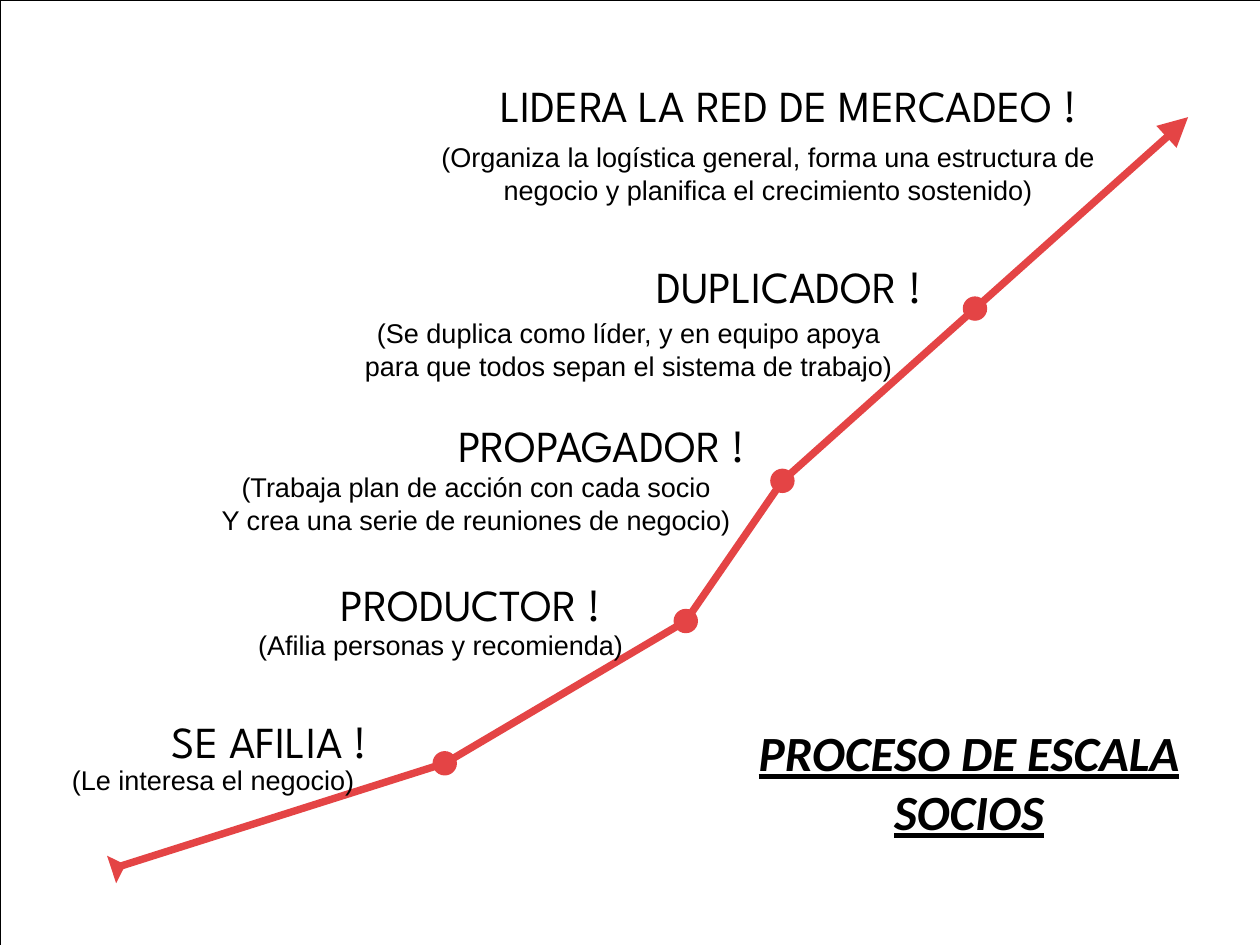
from itertools import pairwise

from lxml import etree
from pptx import Presentation
from pptx.dml.color import RGBColor
from pptx.enum.shapes import MSO_CONNECTOR, MSO_SHAPE
from pptx.enum.text import MSO_ANCHOR, PP_ALIGN
from pptx.oxml.ns import qn
from pptx.util import Cm, Pt

LINE = MSO_CONNECTOR.STRAIGHT
OVAL = MSO_SHAPE.OVAL
RECT = MSO_SHAPE.RECTANGLE
CENTER = PP_ALIGN.CENTER
TOP = MSO_ANCHOR.TOP

THEME = {
    "red": RGBColor(0xE4, 0x44, 0x45),
    "ink": RGBColor(0, 0, 0),
    "line": Pt(6),
    "edge": Pt(0.25),
    "step": {"name": "League Spartan", "size": Pt(36)},
    "note": {"name": "Arial", "size": Pt(22)},
    "title": {"name": "Calibri", "size": Pt(40), "bold": True,
              "italic": True, "underline": True},
}
FRAME = {"word_wrap": True, "vertical_anchor": TOP, "margin_left": 0,
         "margin_right": 0, "margin_top": 0, "margin_bottom": 0}

WIDTH, HEIGHT = Cm(36.12), Cm(27.1)
deck = Presentation()
deck.slide_width, deck.slide_height = WIDTH, HEIGHT
slide = deck.slides.add_slide(deck.slide_layouts[6])
shapes = slide.shapes


def add_text(style, mid, top, width, height, *lines):
    box = shapes.add_textbox(Cm(mid - width / 2), Cm(top), Cm(width), Cm(height))
    frame = box.text_frame
    for key, value in FRAME.items():
        setattr(frame, key, value)
    frame.text = "\n".join(lines)
    for para in frame.paragraphs:
        para.alignment = CENTER
        for key, value in THEME[style].items():
            setattr(para.font, key, value)
        para.font.color.rgb = THEME["ink"]


def paint(shape):
    shape.shadow.inherit = False
    shape.fill.solid()
    shape.fill.fore_color.rgb = THEME["red"]
    shape.line.fill.background()


edge = shapes.add_shape(RECT, 0, 0, WIDTH, HEIGHT)
edge.shadow.inherit = False
edge.fill.background()
edge.line.color.rgb = THEME["ink"]
edge.line.width = THEME["edge"]

STOPS = [(12.75, 21.89), (19.66, 17.81), (22.43, 13.79), (27.95, 8.85)]
ROUTE = [(3.45, 24.84), *STOPS, (33.53, 3.86)]
for start, end in pairwise(ROUTE):
    link = shapes.add_connector(LINE, *map(Cm, start + end))
    link.line.color.rgb = THEME["red"]
    link.line.width = THEME["line"]
    etree.SubElement(link._element.spPr, qn("a:effectLst"))

DOT = 0.7
for x, y in STOPS:
    paint(shapes.add_shape(OVAL, Cm(x - DOT / 2), Cm(y - DOT / 2), Cm(DOT), Cm(DOT)))

TIPS = [
    [(3.07, 24.54), (3.33, 25.33), (3.6, 24.8)],
    [(33.73, 4.24), (34.06, 3.36), (33.15, 3.61)],
]
for tip in TIPS:
    first, *rest = [(Cm(x), Cm(y)) for x, y in tip]
    form = shapes.build_freeform(*first)
    form.add_line_segments(rest)
    paint(form.convert_to_shape())

STEPS = [
    (22.62, 2.25, 17.5, "LIDERA LA RED DE MERCADEO !"),
    (22.62, 7.44, 9.6, "DUPLICADOR !"),
    (17.25, 11.98, 9.6, "PROPAGADOR !"),
    (13.5, 16.55, 9.6, "PRODUCTOR !"),
    (7.73, 20.47, 9.6, "SE AFILIA !"),
]
for mid, top, width, words in STEPS:
    add_text("step", mid, top, width, 1.5, words)

NOTES = [
    (22.02, 4.04, 19.4, "(Organiza la logística general, forma una estructura de "
     "negocio y planifica el crecimiento sostenido)"),
    (18.02, 9.08, 15.8, "(Se duplica como líder, y en equipo apoya "
     "para que todos sepan el sistema de trabajo)"),
    (13.65, 13.5, 15.4, "(Trabaja plan de acción con cada socio",
     "Y crea una serie de reuniones de negocio)"),
    (12.63, 18.02, 11.2, "(Afilia personas y recomienda)"),
    (6.11, 21.88, 9, "(Le interesa el negocio)"),
]
for mid, top, width, *lines in NOTES:
    add_text("note", mid, top, width, 1, *lines)

add_text("title", 27.78, 20.72, 13.7, 3.5, "PROCESO DE ESCALA SOCIOS")

deck.save("out.pptx")
